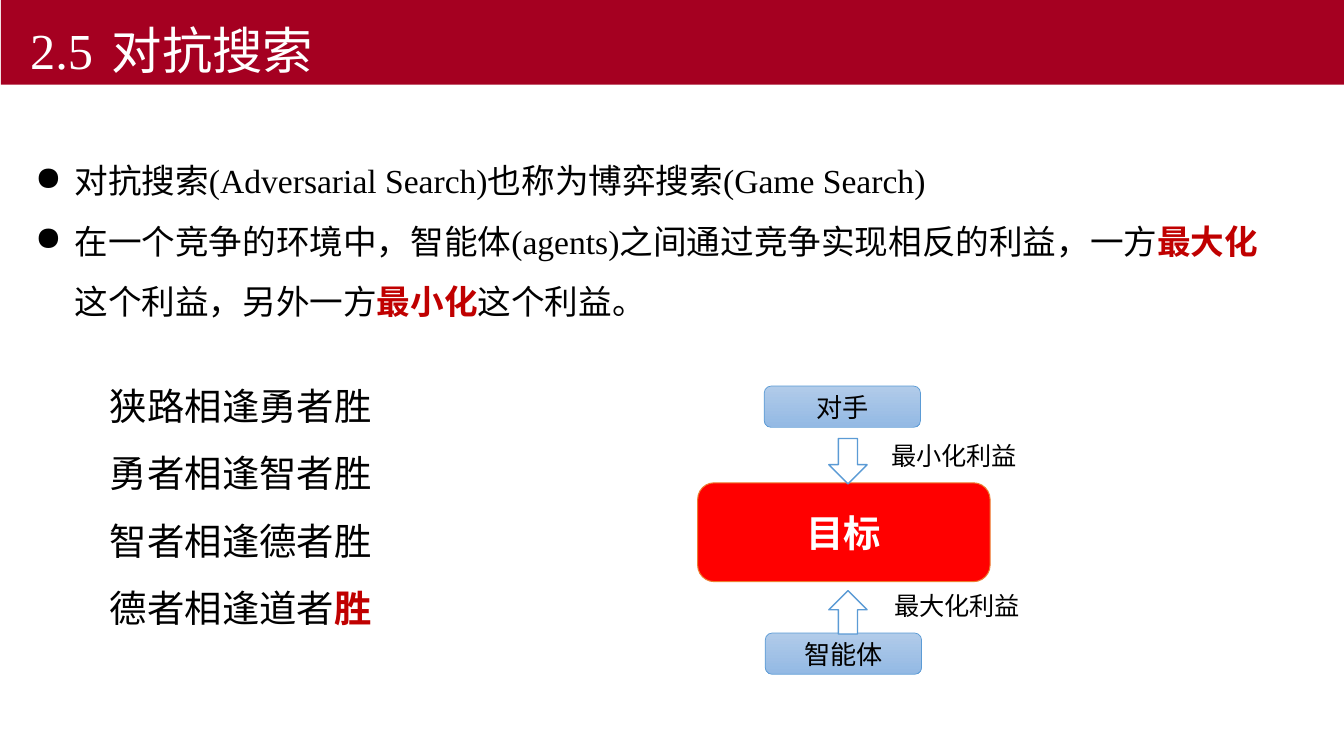
from lxml.etree import SubElement
from pptx import Presentation
from pptx.dml.color import RGBColor
from pptx.enum.shapes import MSO_SHAPE as Preset
from pptx.enum.text import MSO_ANCHOR as Anchor, MSO_AUTO_SIZE as AutoSize, PP_ALIGN as Align
from pptx.oxml.ns import qn
from pptx.util import Inches, Pt

COLORS = {
    "banner": "A50021", "white": "FFFFFF", "black": "000000",
    "accent": "C00000", "goal": "FF0000", "goal_line": "ED7D31",
    "blue": "5B9BD5", "light": "B1CBE9", "deep": "93B9E4",
}
SERIF, SANS = "Times New Roman", "Noto Sans CJK SC"

POINTS = [
    [("对抗搜索(Adversarial Search)也称为博弈搜索(Game Search)", False)],
    [("在一个竞争的环境中，智能体(agents)之间通过竞争实现相反的利益，一方", False),
     ("最大化", True), ("这个利益，另外一方", False),
     ("最小化", True), ("这个利益。", False)],
]
SAYINGS = [
    [("狭路相逢勇者胜", False)],
    [("勇者相逢智者胜", False)],
    [("智者相逢德者胜", False)],
    [("德者相逢道者", False), ("胜", True)],
]


def color(name):
    return RGBColor.from_string(COLORS[name])


def add_span(para, text, tone="black", **font_values):
    span = para.add_run()
    span.text = text
    for key, value in font_values.items():
        setattr(span.font, key, value)
    span.font.color.rgb = color(tone)
    SubElement(span.font._element, qn("a:ea"), typeface=SANS)


def add_bullet(para):
    props = para._p.get_or_add_pPr()
    props.set("marL", str(Inches(0.39)))
    props.set("indent", str(Inches(-0.39)))
    SubElement(props, qn("a:buChar"), char="●")


def add_text(page, bounds, lines, size, font, spacing=1.0, wrap=True, bulleted=False):
    box = page.shapes.add_textbox(*map(Inches, bounds))
    frame = box.text_frame
    frame.word_wrap = wrap
    frame.auto_size = AutoSize.SHAPE_TO_FIT_TEXT
    for index, line in enumerate(lines):
        para = frame.add_paragraph() if index else frame.paragraphs[0]
        if bulleted:
            add_bullet(para)
        para.line_spacing = spacing
        for text, strong in line:
            add_span(para, text, "accent" if strong else "black",
                     name=font, size=Pt(size), bold=strong)


def add_block(page, preset, bounds, fill, line=None, width=1):
    block = page.shapes.add_shape(preset, *map(Inches, bounds))
    block.shadow.inherit = False
    if isinstance(fill, tuple):
        block.fill.gradient()
        block.fill.gradient_angle = 270
        for stop, tone in zip(block.fill.gradient_stops, fill):
            stop.color.rgb = color(tone)
    else:
        block.fill.solid()
        block.fill.fore_color.rgb = color(fill)
    if line:
        block.line.color.rgb = color(line)
        block.line.width = Pt(width)
    else:
        block.line.fill.background()
    return block


def add_label(block, text, tone, **font_values):
    frame = block.text_frame
    values = {"word_wrap": False, "vertical_anchor": Anchor.MIDDLE,
              "margin_top": 0, "margin_bottom": 0}
    for key, value in values.items():
        setattr(frame, key, value)
    para = frame.paragraphs[0]
    para.alignment = Align.CENTER
    add_span(para, text, tone, **font_values)


def add_player(page, left, top, text):
    block = add_block(page, Preset.ROUNDED_RECTANGLE, (left, top, 1.55, 0.41),
                      ("light", "deep"), "blue", 0.5)
    add_label(block, text, "black", name=SANS, size=Pt(18.7))


def add_banner(page, number, title):
    banner = add_block(page, Preset.RECTANGLE, (0.01, 0, 13.33, 0.84), "banner")
    banner.text_frame.vertical_anchor = Anchor.BOTTOM
    para = banner.text_frame.paragraphs[0]
    para.alignment = Align.LEFT
    props = para._p.get_or_add_pPr()
    props.set("indent", str(Inches(0.19)))
    tabs = SubElement(props, qn("a:tabLst"))
    SubElement(tabs, qn("a:tab"), pos=str(Inches(1.19)), algn="l")
    add_span(para, f"{number}\t{title}", "white", name=SERIF, size=Pt(36))


def main():
    deck = Presentation()
    deck.slide_width, deck.slide_height = Inches(13.33), Inches(7.5)
    page = deck.slides.add_slide(deck.slide_layouts[6])

    add_text(page, (0.25, 1.34, 12.63, 2.43), POINTS, 24, SERIF, 1.5, bulleted=True)
    add_text(page, (0.99, 3.53, 4.12, 2.79), SAYINGS, 26.7, SANS, 1.5)

    add_player(page, 7.59, 6.28, "智能体")
    goal = add_block(page, Preset.ROUNDED_RECTANGLE, (6.92, 4.79, 2.9, 0.98),
                     "goal", "goal_line", 0.75)
    add_label(goal, "目标", "white", name=SERIF, size=Pt(26.7), bold=True)
    add_player(page, 7.58, 3.83, "对手")

    add_block(page, Preset.UP_ARROW, (8.22, 5.86, 0.38, 0.43), "white", "blue")
    add_block(page, Preset.DOWN_ARROW, (8.22, 4.35, 0.38, 0.45), "white", "blue")
    for left, top, text in [(8.77, 5.81, "最大化利益"), (8.74, 4.32, "最小化利益")]:
        add_text(page, (left, top, 1.46, 0.4), [[(text, False)]], 18, SANS, wrap=False)

    add_banner(page, "2.5", "对抗搜索")
    deck.save("out.pptx")


if __name__ == "__main__":
    main()
